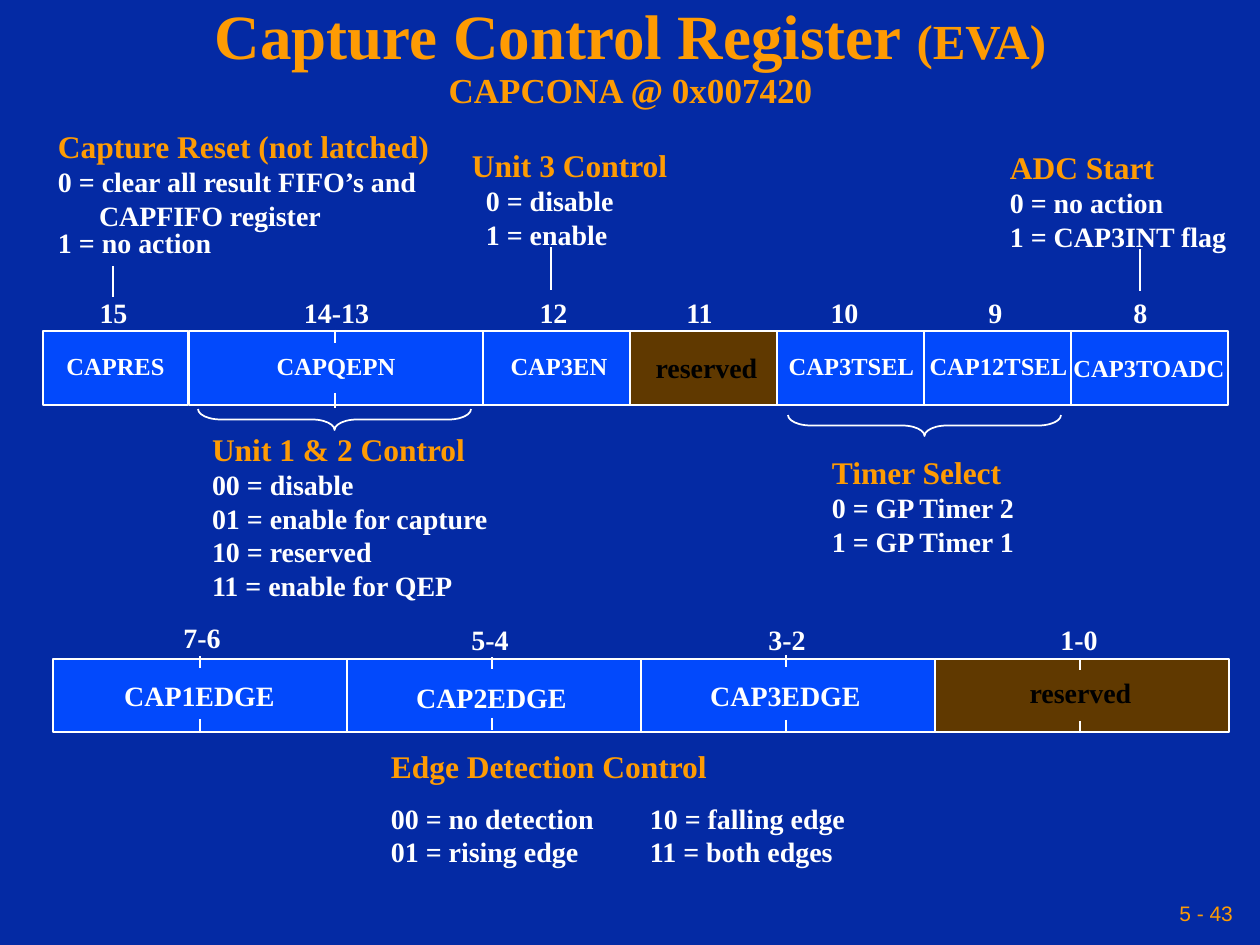
from typing import NamedTuple

from lxml import etree
from pptx import Presentation
from pptx.dml.color import RGBColor
from pptx.enum.shapes import MSO_CONNECTOR, MSO_SHAPE
from pptx.enum.text import MSO_ANCHOR, PP_ALIGN
from pptx.oxml.ns import qn
from pptx.util import Pt

EMU_PER_PX = 914400 / 126
CENTER, RIGHT = PP_ALIGN.CENTER, PP_ALIGN.RIGHT
TOP, MIDDLE = MSO_ANCHOR.TOP, MSO_ANCHOR.MIDDLE
RECTANGLE, RIGHT_BRACE = MSO_SHAPE.RECTANGLE, MSO_SHAPE.RIGHT_BRACE
STRAIGHT = MSO_CONNECTOR.STRAIGHT


class Theme:
    background = RGBColor(0x04, 0x2A, 0xA4)
    accent = RGBColor(0xFE, 0x9B, 0x03)
    white = RGBColor(0xFF, 0xFF, 0xFF)
    black = RGBColor(0x00, 0x00, 0x00)
    used = RGBColor(0x02, 0x49, 0xFC)
    reserved = RGBColor(0x60, 0x39, 0x00)
    serif, sans = "Times New Roman", "Arial"
    title, title_suffix, subtitle = 36, 28, 20
    heading, body, small, footer = 18, 16, 14, 12
    line = 1


class Span(NamedTuple):
    text: str
    size: int = Theme.body
    color: RGBColor = Theme.white
    font: str = Theme.serif
    bold: bool = True


class Line(NamedTuple):
    spans: list[Span]
    format: dict = {}
    margin: int = 0
    indent: int = 0
    tab: int = 0


class Area(NamedTuple):
    left: int
    top: int
    width: int
    height: int


class Label(NamedTuple):
    text: str
    center: int
    top: int
    width: int


class Field(NamedTuple):
    """One bit field: its cell, the bit numbers above and the name inside."""
    cell: Area
    bits: Label
    name: Label
    name_size: int = Theme.small


class Note(NamedTuple):
    area: Area
    heading: Line
    items: list[Line]


class Stroke(NamedTuple):
    x: int
    top: int
    bottom: int


def heading(text: str, **layout) -> Line:
    return Line([Span(text, Theme.heading, Theme.accent)], **layout)


def item(text: str, **layout) -> Line:
    return Line([Span(text)], **layout)


def px(value: float) -> int:
    return round(value * EMU_PER_PX)


def apply(target, values: dict) -> None:
    for name, value in values.items():
        setattr(target, name, value)


def add_text(slide, area: Area, lines: list[Line], anchor=TOP, inset=(13, 6)) -> None:
    box = slide.shapes.add_textbox(*map(px, area))
    frame = box.text_frame
    side, edge = map(px, inset)
    apply(frame, {"word_wrap": True, "vertical_anchor": anchor, "margin_left": side,
                  "margin_right": side, "margin_top": edge, "margin_bottom": edge})
    for index, line in enumerate(lines):
        para = frame.paragraphs[0] if index == 0 else frame.add_paragraph()
        if line.margin:
            properties = para._p.get_or_add_pPr()
            properties.set("marL", str(px(line.margin)))
            properties.set("indent", str(px(line.indent)))
        if line.tab:
            tabs = etree.SubElement(para._p.get_or_add_pPr(), qn("a:tabLst"))
            etree.SubElement(tabs, qn("a:tab"), pos=str(px(line.tab)), algn="l")
        apply(para, line.format)
        for span in line.spans:
            if span.text == "\n":
                para.add_line_break()
                continue
            run = para.add_run()
            run.text = span.text
            apply(run.font, {"name": span.font, "size": Pt(span.size), "bold": span.bold})
            run.font.color.rgb = span.color


def add_label(slide, label: Label, size: int, color: RGBColor) -> None:
    height = 45 if size == Theme.body else 41
    area = Area(label.center - label.width // 2, label.top, label.width, height)
    add_text(slide, area, [Line([Span(label.text, size, color)], {"alignment": CENTER})], inset=(0, 6))


def add_field(slide, field: Field) -> None:
    is_reserved = field.name.text == "reserved"
    cell = slide.shapes.add_shape(RECTANGLE, *map(px, field.cell))
    cell.shadow.inherit = False
    cell.fill.solid()
    cell.fill.fore_color.rgb = Theme.reserved if is_reserved else Theme.used
    cell.line.color.rgb = Theme.white
    cell.line.width = Pt(Theme.line)
    add_label(slide, field.bits, Theme.body, Theme.white)
    add_label(slide, field.name, field.name_size, Theme.black if is_reserved else Theme.white)


def add_stroke(slide, stroke: Stroke) -> None:
    x = px(stroke.x)
    connector = slide.shapes.add_connector(STRAIGHT, x, px(stroke.top), x, px(stroke.bottom))
    connector.line.color.rgb = Theme.white
    connector.line.width = Pt(Theme.line)
    etree.SubElement(connector._element.spPr, qn("a:effectLst"))


def add_brace(slide, area: Area) -> None:
    """Draw a brace opening upwards; area is its frame before the quarter turn."""
    brace = slide.shapes.add_shape(RIGHT_BRACE, *map(px, area))
    brace.rotation = 90
    brace.adjustments[0] = 1.08
    brace.shadow.inherit = False
    brace.fill.background()
    brace.line.color.rgb = Theme.white
    brace.line.width = Pt(Theme.line)


def upper(left, right, bits, bits_center, bits_width, name, center, width, top=345, size=Theme.small):
    return Field(Area(left, 331, right - left, 74), Label(bits, bits_center, 290, bits_width),
                 Label(name, center, top, width), size)


def lower(index, bits, bits_center, bits_top, name, center, top, width):
    return Field(Area(53 + 294 * index, 659, 294, 73), Label(bits, bits_center, bits_top, 62),
                 Label(name, center, top, width), Theme.body)


FIELDS = [
    upper(43, 188, "15", 113, 53, "CAPRES", 115, 123),
    upper(189, 483, "14-13", 336, 91, "CAPQEPN", 336, 144),
    upper(483, 630, "12", 553, 53, "CAP3EN", 559, 122),
    upper(630, 777, "11", 699, 53, "reserved", 706, 127, 344, Theme.body),
    upper(777, 924, "10", 844, 53, "CAP3TSEL", 851, 151),
    upper(924, 1071, "9", 995, 39, "CAP12TSEL", 998, 163),
    upper(1071, 1228, "8", 1140, 39, "CAP3TOADC", 1149, 176, 347),
    lower(0, "7-6", 202, 615, "CAP1EDGE", 199, 673, 175),
    lower(1, "5-4", 490, 617, "CAP2EDGE", 491, 675, 175),
    lower(2, "3-2", 787, 617, "CAP3EDGE", 785, 673, 175),
    lower(3, "1-0", 1079, 617, "reserved", 1080, 670, 127),
]
HANGING = {"margin": 55, "indent": -41}
NOTES = [
    Note(Area(31, 121, 432, 144), heading("Capture Reset (not latched)", **HANGING), [
        item("0 = clear all result FIFO’s and CAPFIFO register", **HANGING),
        item("1 = no action", format={"line_spacing": 0.8}, **HANGING)]),
    Note(Area(459, 140, 224, 117), heading("Unit 3 Control"),
         [item(text, margin=14) for text in ("0 = disable", "1 = enable")]),
    Note(Area(997, 142, 250, 117), heading("ADC Start"),
         [item("0 = no action"), item("1 = CAP3INT flag")]),
    Note(Area(199, 424, 308, 184), heading("Unit 1 & 2 Control"),
         [item(text) for text in ("00 = disable", "01 = enable for capture",
                                  "10 = reserved", "11 = enable for QEP")]),
    Note(Area(819, 447, 214, 117), heading("Timer Select"),
         [item("0 = GP Timer 2"), item("1 = GP Timer 1")]),
    Note(Area(378, 741, 490, 134), heading("Edge Detection Control"), [
        item("00 = no detection\t10 = falling edge", format={"space_before": Pt(9.4)}, tab=259),
        item("01 = rising edge\t11 = both edges", tab=259)]),
]
LEADERS = [Stroke(113, 266, 297), Stroke(551, 247, 290), Stroke(1140, 249, 291)]
TICKS = [Stroke(335, 330, 343), Stroke(335, 393, 408)] + [
    Stroke(x, top, top + 12)
    for x, upper_top, lower_top in ((200, 656, 719), (492, 657, 718), (786, 655, 720), (1080, 658, 721))
    for top in (upper_top, lower_top)]
BRACES = [Area(324, 283, 21, 273), Area(914, 289, 21, 273)]
TITLE = Line([Span("Capture Control Register ", Theme.title, Theme.accent),
              Span("(EVA)", Theme.title_suffix, Theme.accent), Span("\n"),
              Span("CAPCONA @ 0x007420", Theme.subtitle, Theme.accent)],
             {"alignment": CENTER, "line_spacing": 0.9})
PAGE_NUMBER = Line([Span("5 - 43", Theme.footer, Theme.accent, Theme.sans, False)], {"alignment": RIGHT})


def main() -> None:
    deck = Presentation()
    apply(deck, {"slide_width": px(1260), "slide_height": px(945)})
    page = deck.slides.add_slide(deck.slide_layouts[6])
    page.background.fill.solid()
    page.background.fill.fore_color.rgb = Theme.background
    add_text(page, Area(95, 21, 1071, 74), [TITLE], MIDDLE)
    for field in FIELDS:
        add_field(page, field)
    for note in NOTES:
        add_text(page, note.area, [note.heading, *note.items])
    for stroke in LEADERS + TICKS:
        add_stroke(page, stroke)
    for area in BRACES:
        add_brace(page, area)
    add_text(page, Area(861, 892, 378, 42), [PAGE_NUMBER], MIDDLE, inset=(6, 6))
    deck.save("out.pptx")


if __name__ == "__main__":
    main()
